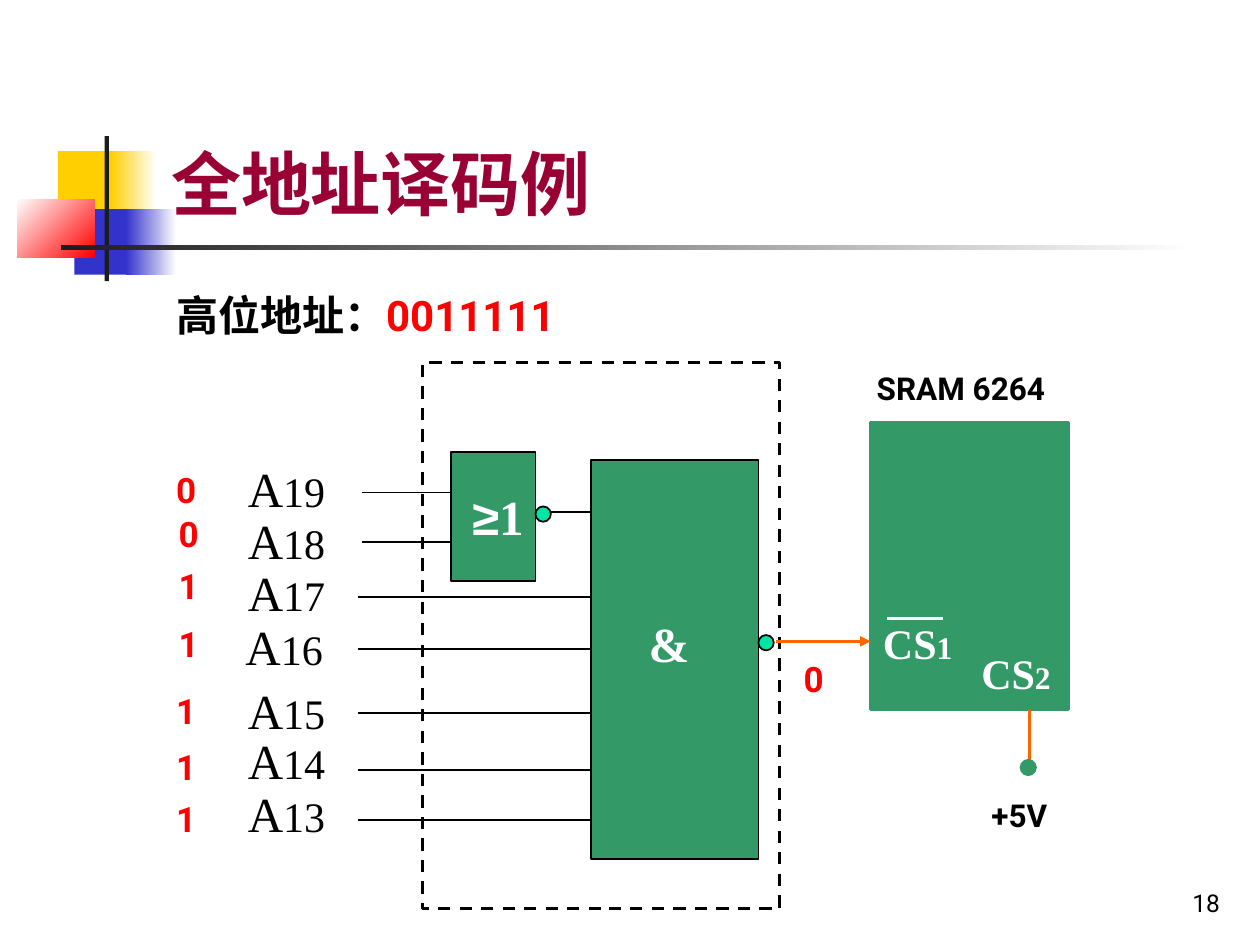
from lxml import etree
from pptx import Presentation
from pptx.dml.color import RGBColor
from pptx.enum.dml import MSO_LINE
from pptx.enum.shapes import MSO_CONNECTOR, MSO_SHAPE
from pptx.enum.text import MSO_ANCHOR, PP_ALIGN
from pptx.oxml.ns import qn
from pptx.util import Pt

RECT, OVAL = MSO_SHAPE.RECTANGLE, MSO_SHAPE.OVAL
STRAIGHT = MSO_CONNECTOR.STRAIGHT
DASH = MSO_LINE.DASH
TOP, BOTTOM = MSO_ANCHOR.TOP, MSO_ANCHOR.BOTTOM
LEFT, RIGHT = PP_ALIGN.LEFT, PP_ALIGN.RIGHT

COLORS = {
    "black": "000000", "white": "FFFFFF", "red": "FF0000",
    "yellow": "FFCF01", "blue": "3333CC", "ink": "1C1C1C",
    "title": "990033", "chip": "339966", "bubble": "00E4A8",
    "signal": "FF6600",
}
SANS, SERIF, TITLE_FONT = "Roboto", "Times New Roman", "Arial"


def rgb(name):
    return RGBColor.from_string(COLORS[name])


def add_run(paragraph, text, size=18, font=SANS, color="black", bold=False):
    run = paragraph.add_run()
    run.text = text
    run.font.size = Pt(size)
    run.font.name = font
    run.font.bold = bold
    run.font.color.rgb = rgb(color)


class Diagram:
    def __init__(self, slide, thin=1, thick=1.75):
        self.slide = slide
        self.thin = thin
        self.thick = thick

    def shape(self, kind, box, fill=None, line=None, width=None, dash=None):
        shape = self.slide.shapes.add_shape(kind, *map(Pt, box))
        shape.shadow.inherit = False
        if fill:
            shape.fill.solid()
            shape.fill.fore_color.rgb = rgb(fill)
        else:
            shape.fill.background()
        if line:
            shape.line.color.rgb = rgb(line)
            shape.line.width = Pt(width or self.thin)
            if dash:
                shape.line.dash_style = dash
        else:
            shape.line.fill.background()
        return shape

    def fade(self, box, start, end, angle=0):
        fill = self.shape(RECT, box).fill
        fill.gradient()
        fill.gradient_angle = angle
        for stop, color in zip(fill.gradient_stops, (start, end)):
            stop.color.rgb = rgb(color)

    def dot(self, x, y, fill="bubble", line="black"):
        self.shape(OVAL, (x, y, 8.8, 8.8), fill, line)

    def wire(self, x1, y1, x2, y2, color="black", width=None, arrow=False):
        wire = self.slide.shapes.add_connector(STRAIGHT, Pt(x1), Pt(y1), Pt(x2), Pt(y2))
        wire.line.color.rgb = rgb(color)
        wire.line.width = Pt(width or self.thin)
        if arrow:
            etree.SubElement(wire.line._get_or_add_ln(), qn("a:tailEnd"), type="triangle")
        etree.SubElement(wire._element.spPr, qn("a:effectLst"))

    def text(self, box, *runs, align=LEFT, anchor=TOP):
        frame = self.slide.shapes.add_textbox(*map(Pt, box)).text_frame
        frame.word_wrap = True
        frame.vertical_anchor = anchor
        paragraph = frame.paragraphs[0]
        paragraph.alignment = align
        for text, style in runs:
            add_run(paragraph, text, **style)

    def bit(self, x, y, value):
        self.text((x, y, 28, 31.7), (value, dict(size=20, color="red", bold=True)))

    def pin(self, x, y, number):
        style = dict(font=SERIF, color="white", bold=True)
        self.text((x, y, 67.7, 36), ("CS", dict(style, size=24)), (number, dict(style, size=18)))


def draw_master(d):
    d.shape(RECT, (33.1, 86.4, 34.6, 37.4), "yellow")
    d.fade((63.4, 86.4, 25.9, 37.4), "yellow", "white")
    d.shape(RECT, (42.5, 119.5, 33.1, 37.4), "blue")
    d.fade((72, 119.5, 28.8, 37.4), "blue", "white")
    d.fade((10, 113.8, 44, 33.1), "white", "red", angle=315)
    d.shape(RECT, (59.8, 77.8, 2.5, 82.8), "ink")
    d.fade((34.6, 140.2, 648, 2.5), "ink", "white")
    d.text((554.4, 491.8, 149.8, 36), ("18", dict(size=14)), align=RIGHT, anchor=BOTTOM)
    d.text((90.7, 16.6, 613.4, 115.2),
           ("全地址译码例", dict(size=40, font=TITLE_FONT, color="title", bold=True)),
           anchor=BOTTOM)


def draw_address_lines(d):
    or_input, and_input = (206.6, 258.5), (204.5, 337)
    address_lines = [
        ("19", "0", 134.6, 258.5, 93.6, 264.2, 281.5, or_input),
        ("18", "0", 134.6, 288, 95, 289.4, 309.6, or_input),
        ("17", "1", 134.6, 318.2, 95, 319, 341.3, and_input),
        ("16", "1", 133.2, 348.5, 95, 352.1, 370.8, and_input),
        ("15", "1", 134.6, 385.2, 93.6, 390.2, 407.5, and_input),
        ("14", "1", 134.6, 414, 93.6, 422.6, 440, and_input),
        ("13", "1", 134.6, 444.2, 93.6, 452.2, 468.7, and_input),
    ]
    for number, value, name_x, name_y, bit_x, bit_y, wire_y, (start, end) in address_lines:
        d.wire(start, wire_y, end, wire_y)
        d.text((name_x, name_y, 72, 41), ("A", dict(size=28, font=SERIF)),
               (number, dict(size=24, font=SERIF)))
        d.bit(bit_x, bit_y, value)


def draw_decoder(d):
    gate = dict(size=28, color="white", bold=True)
    d.shape(RECT, (337.7, 262.8, 95.8, 228.2), "chip", "black")
    d.shape(RECT, (257.8, 258.5, 48.2, 73.4), "chip", "black")
    d.wire(313.2, 292.4, 337.7, 292.4)
    d.text((363.6, 347, 54, 41), ("&", dict(gate, font=SERIF)))
    d.text((262.8, 274.3, 54, 41), ("≥", dict(gate, font=TITLE_FONT)),
           ("1", dict(gate, font=SERIF)))
    d.shape(RECT, (241.2, 207.4, 204.5, 311.8), line="black", width=d.thick, dash=DASH)
    d.dot(306, 289.4)
    d.dot(433.4, 362.9)


def draw_memory(d):
    label = dict(size=18, bold=True)
    d.shape(RECT, (497.5, 241.2, 113, 164.2), "chip", "chip", d.thick)
    d.text((493.9, 207.4, 125, 28.8), ("SRAM 6264", label))
    d.wire(443.5, 366.5, 497.5, 366.5, "signal", d.thick, arrow=True)
    d.bit(452.2, 372.2, "0")
    d.pin(497.5, 349.2, "1")
    d.wire(506.9, 353.5, 538.6, 353.5, "white", d.thick)
    d.pin(553.7, 366.5, "2")
    d.wire(588.2, 406, 588.2, 440, "signal", d.thick)
    d.dot(583.2, 434.2, "chip", "chip")
    d.text((559.4, 451.4, 73.4, 28.8), ("+5V", label))


def main():
    deck = Presentation()
    deck.slide_width, deck.slide_height = Pt(720), Pt(540)
    d = Diagram(deck.slides.add_slide(deck.slide_layouts[6]))
    draw_master(d)
    heading = dict(size=24, bold=True)
    d.text((93.6, 162, 357, 36), ("高位地址：", heading),
           ("0011111", dict(heading, color="red")))
    draw_address_lines(d)
    draw_decoder(d)
    draw_memory(d)
    deck.save("out.pptx")


if __name__ == "__main__":
    main()
